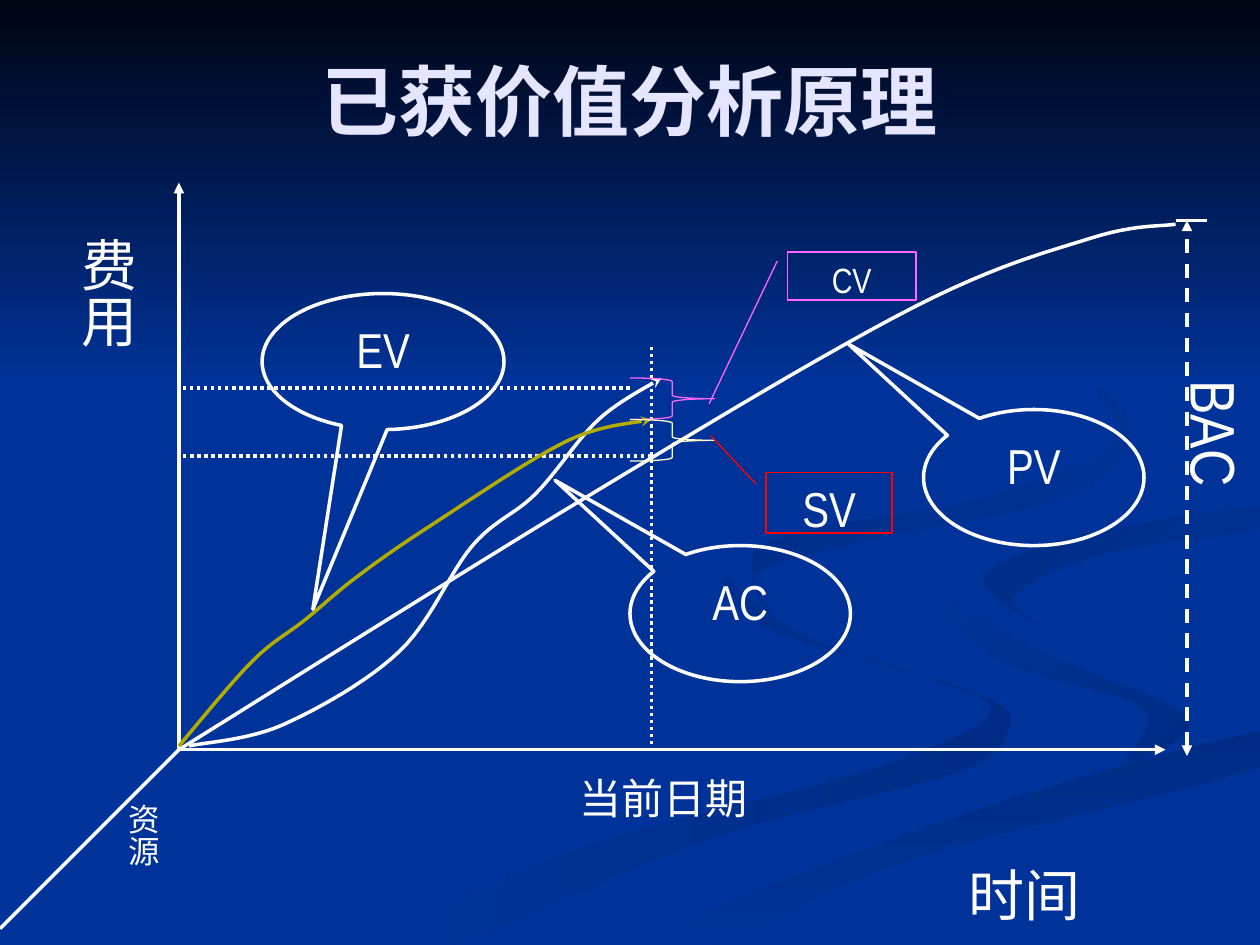
from lxml import etree
from pptx import Presentation
from pptx.dml.color import RGBColor
from pptx.enum.dml import MSO_LINE
from pptx.enum.shapes import MSO_CONNECTOR, MSO_SHAPE
from pptx.enum.text import MSO_ANCHOR, PP_ALIGN
from pptx.oxml.ns import qn
from pptx.util import Inches, Pt

DOT, DASH = MSO_LINE.ROUND_DOT, MSO_LINE.DASH
LEFT, CENTER = PP_ALIGN.LEFT, PP_ALIGN.CENTER
TOP, MIDDLE = MSO_ANCHOR.TOP, MSO_ANCHOR.MIDDLE
BUBBLE, LABEL = MSO_SHAPE.OVAL_CALLOUT, MSO_SHAPE.LINE_CALLOUT_1
BRACE, STRAIGHT = MSO_SHAPE.RIGHT_BRACE, MSO_CONNECTOR.STRAIGHT

WHITE, LAVENDER, OLIVE = "FFFFFF", "E5E5FF", "B0AC00"
PINK, CREAM, RED = "FF66FF", "FFFFCC", "FF0000"
BLUE, SHADE, NIGHT = "003399", "002C85", "000514"
LATIN, CHINESE = "Arial Narrow", "Noto Sans CJK SC"

WIDTH, HEIGHT = 10, 7.5
ORIGIN_X, ORIGIN_Y = 1.42, 5.95
ORIGIN = (ORIGIN_X, ORIGIN_Y)
TODAY, BUDGET_X, BUDGET_Y = 5.17, 9.42, 1.75
TITLE = "已获价值分析原理"

# start colour, end colour, clockwise angle, outline
SWOOSHES = [
    (SHADE, BLUE, 180, [(7.81, 5.53), (6.42, 5.07), (5.75, 4.59), (6.11, 4.99), (7.28, 5.35),
                        (7.86, 5.66), (6.84, 6.13), (4.58, 6.74), (3, 7.49), (3.61, 7.49),
                        (5.64, 6.65), (7.56, 6.14), (8, 5.81)]),
    (SHADE, BLUE, 225, [(9.43, 5.7), (8.3, 5.19), (7.24, 4.64), (7.97, 5.24), (9.07, 5.62),
                        (8.94, 6.05)]),
    (SHADE, BLUE, 90, [(5.03, 7.49), (5.71, 7.49), (7.22, 6.82), (9.98, 6.09), (9.98, 5.81),
                       (7.64, 6.47)]),
    (BLUE, SHADE, 225, [(7.81, 4.6), (8.26, 4.96), (8.05, 4.72), (8.78, 4.39), (9.98, 4.2),
                        (9.98, 4.02), (8.49, 4.27)]),
    (BLUE, SHADE, 225, [(6.83, 4.3), (8.55, 3.91), (8.9, 3.24), (7.62, 2.33), (8.89, 3.35),
                        (7.91, 3.92), (6.05, 4.33), (6.22, 5), (6.01, 4.56)]),
]
# start, end, dash, head, tail
LINES = [
    (ORIGIN, (9.25, ORIGIN_Y), None, None, "triangle"),
    (ORIGIN, (ORIGIN_X, 1.45), None, None, "triangle"),
    (ORIGIN, (0, 7.37), None, None, None),
    ((TODAY, 2.75), (TODAY, ORIGIN_Y), DOT, None, None),
    ((TODAY, 3.62), (ORIGIN_X, 3.62), DOT, None, None),
    ((5, 3.08), (ORIGIN_X, 3.08), DOT, None, None),
    ((9.33, BUDGET_Y), (9.58, BUDGET_Y), None, None, None),
    ((BUDGET_X, 6), (BUDGET_X, BUDGET_Y), DASH, "triangle", "triangle"),
]
# colour, tail, points passed through
CURVES = [
    (WHITE, None, [ORIGIN, (4.68, 3.93), (7.25, 2.44), (8.66, 1.89), (9.33, 1.78)]),
    (WHITE, "stealth", [(1.5, 5.92), (2.25, 5.75), (3.17, 5.17), (3.75, 4.33), (4.25, 3.92),
                        (4.75, 3.33), (5.25, 3)]),
    (OLIVE, "stealth", [(1.42, 5.92), (2, 5.25), (2.42, 4.92), (2.83, 4.58), (3.42, 4.17),
                        (4.5, 3.5), (TODAY, 3.33)]),
]
# kind, box, adjustments, colour, width, text, size
OUTLINES = [
    (BUBBLE, (7.33, 3.25, 1.75, 1.08), (-0.84, -0.98), WHITE, 2, "PV", 28),
    (BUBBLE, (5, 4.33, 1.75, 1.08), (-0.84, -0.98), WHITE, 2, "AC", 28),
    (BUBBLE, (2.08, 2.33, 1.92, 1.08), (-0.29, 1.82), WHITE, 2, "EV", 28),
    (BRACE, (5, 3, 0.67, 0.33), (), PINK, 0.75, "", 0),
    (BRACE, (5, 3.33, 0.67, 0.33), (), CREAM, 0.75, "", 0),
    (LABEL, (6.25, 2, 1.02, 0.38), (0.19, -0.08, 3.17, -0.61), PINK, 0.75, "CV", 20),
    (LABEL, (6.08, 3.75, 1, 0.48), (0.19, -0.08, -0.61, -0.44), RED, 0.75, "SV", 28),
]
# text, box, size, alignment, vertical
TEXTS = [
    ("费用", (0.44, 1.78, 0.73, 2.08), 32, CENTER, True),
    ("时间", (7.17, 6.78, 1.92, 0.64), 32, CENTER, False),
    ("资源", (0.84, 6.28, 0.5, 0.92), 18, CENTER, True),
    ("当前日期", (4.5, 6.08, 1.58, 0.5), 24, LEFT, False),
    ("BAC", (9.2, 2.92, 0.8, 1.25), 36, LEFT, True),
]


def rgb(value):
    """Return the colour for a hex string."""
    return RGBColor.from_string(value)


def inches(values):
    """Return the values as lengths."""
    return [Inches(value) for value in values]


def write(shape, text, size, align=CENTER, anchor=TOP, color=WHITE, font=LATIN, bold=False, vertical=False):
    """Put one formatted run into a shape."""
    frame = shape.text_frame
    frame.word_wrap, frame.vertical_anchor = True, anchor
    side, end = inches((0.05, 0.1) if vertical else (0.1, 0.05))
    frame.margin_left = frame.margin_right = side
    frame.margin_top = frame.margin_bottom = end
    if vertical:
        frame._txBody.bodyPr.set("vert", "eaVert")
    paragraph = frame.paragraphs[0]
    paragraph.alignment = align
    run = paragraph.add_run()
    run.text = text
    run.font.size, run.font.name, run.font.bold = Pt(size), font, bold
    run.font.color.rgb = rgb(color)
    etree.SubElement(run._r.get_or_add_rPr(), qn("a:ea")).set("typeface", CHINESE)


def stroke(shape, color, width, dash=None, head=None, tail=None):
    """Format a line and its arrowheads."""
    shape.line.color.rgb, shape.line.width = rgb(color), Pt(width)
    if dash:
        shape.line.dash_style = dash
    for tag, kind in (("a:headEnd", head), ("a:tailEnd", tail)):
        if kind:
            etree.SubElement(shape.line._get_or_add_ln(), qn(tag)).set("type", kind)


def shade(shape, start, end, angle):
    """Fill a shape with a gradient and no outline."""
    shape.shadow.inherit = False
    shape.line.fill.background()
    shape.fill.gradient()
    shape.fill.gradient_angle = 360 - angle
    for stop, color in zip(shape.fill.gradient_stops, (start, end)):
        stop.color.rgb = rgb(color)


def spline(points, closed, steps=12):
    """Return points along a smooth curve through the given points."""
    before, after = (points[-1:], points[:2]) if closed else (points[:1], points[-1:])
    chain = before + points + after
    result = [points[0]]
    for a, b, c, d in zip(chain, chain[1:], chain[2:], chain[3:]):
        for step in range(1, steps + 1):
            t = step / steps
            result.append(tuple(
                q + t * ((r - p) + t * ((2 * p - 5 * q + 4 * r - s) + t * (3 * q - p - 3 * r + s))) / 2
                for p, q, r, s in zip(a, b, c, d)))
    return result


def outline(slide, points, closed):
    """Add a smooth freeform through the points."""
    start, *rest = [inches(point) for point in spline(points, closed)]
    builder = slide.shapes.build_freeform(*start)
    builder.add_line_segments(rest, close=closed)
    return builder.convert_to_shape()


def main():
    """Build the slide and save it."""
    presentation = Presentation()
    presentation.slide_width, presentation.slide_height = inches((WIDTH, HEIGHT))
    slide = presentation.slides.add_slide(presentation.slide_layouts[5])
    slide.background.fill.solid()
    slide.background.fill.fore_color.rgb = rgb(BLUE)
    for start, end, angle, points in SWOOSHES:
        shade(outline(slide, points, True), start, end, angle)
    sky = slide.shapes.add_shape(MSO_SHAPE.RECTANGLE, *inches((0, 0, WIDTH, 3.08)))
    shade(sky, NIGHT, BLUE, 90)
    title = slide.shapes.title
    slide.shapes._spTree.append(title._element)
    title.left, title.top, title.width, title.height = inches((0.75, 0.17, 8.5, 1.25))
    write(title, TITLE, 44, anchor=MIDDLE, color=LAVENDER, font=CHINESE, bold=True)
    for start, end, dash, head, tail in LINES:
        line = slide.shapes.add_connector(STRAIGHT, *inches(start + end))
        stroke(line, WHITE, 2, dash, head, tail)
        etree.SubElement(line._element.spPr, qn("a:effectLst"))
    for color, tail, points in CURVES:
        curve = outline(slide, points, False)
        curve.shadow.inherit = False
        curve.fill.background()
        stroke(curve, color, 2, tail=tail)
    for kind, box, adjustments, color, width, text, size in OUTLINES:
        shape = slide.shapes.add_shape(kind, *inches(box))
        shape.shadow.inherit = False
        shape.fill.background()
        stroke(shape, color, width)
        for index, value in enumerate(adjustments):
            shape.adjustments[index] = value
        if text:
            write(shape, text, size)
    for text, box, size, align, vertical in TEXTS:
        write(slide.shapes.add_textbox(*inches(box)), text, size, align, vertical=vertical)
    presentation.save("out.pptx")


if __name__ == "__main__":
    main()
